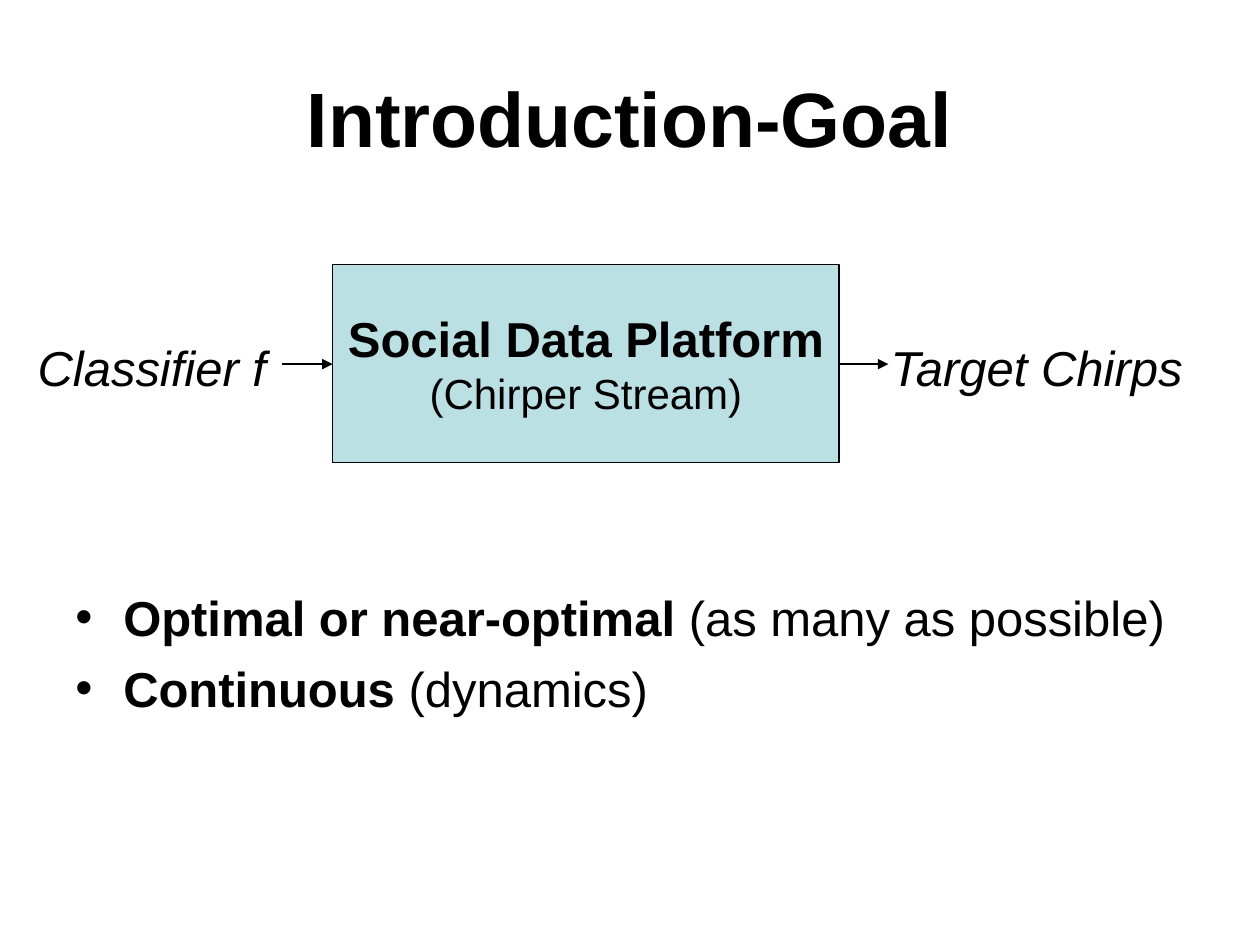
from lxml import etree
from pptx import Presentation
from pptx.dml.color import RGBColor
from pptx.enum.shapes import MSO_CONNECTOR, MSO_SHAPE
from pptx.enum.text import MSO_ANCHOR, PP_ALIGN
from pptx.oxml.ns import qn
from pptx.util import Inches, Pt

BLACK = RGBColor(0x00, 0x00, 0x00)
PALE_TEAL = RGBColor(0xBB, 0xE0, 0xE3)
CENTER = PP_ALIGN.CENTER
LEFT = PP_ALIGN.LEFT
TOP = MSO_ANCHOR.TOP
MIDDLE = MSO_ANCHOR.MIDDLE
RECTANGLE = MSO_SHAPE.RECTANGLE
STRAIGHT = MSO_CONNECTOR.STRAIGHT
FONT = "Arial"
LINE_WIDTH = Pt(0.75)
ARROW_Y = 2.89
ARROW_LENGTH = 0.4
BULLET_INDENT = 0.38


def add_run(para, text, size, bold=False, italic=False):
    span = para.add_run()
    span.text = text
    span.font.name = FONT
    span.font.size = Pt(size)
    span.font.bold = bold
    span.font.italic = italic
    span.font.color.rgb = BLACK


def add_paragraph(frame, index, align=LEFT, space_before=0):
    para = frame.add_paragraph() if index else frame.paragraphs[0]
    para.alignment = align
    para.space_before = Pt(space_before)
    return para


def add_text_box(page, left, top, width, height, anchor=TOP):
    box = page.shapes.add_textbox(
        Inches(left), Inches(top), Inches(width), Inches(height)
    )
    box.text_frame.word_wrap = True
    box.text_frame.vertical_anchor = anchor
    return box.text_frame


def add_title(page, text):
    frame = add_text_box(page, 0.5, 0.3, 9, 1.25, MIDDLE)
    add_run(add_paragraph(frame, 0, CENTER), text, 44, bold=True)


def add_flow_label(page, left, width, text):
    frame = add_text_box(page, left, 2.63, width, 0.57)
    para = add_paragraph(frame, 0, space_before=17.5)
    add_run(para, text, 28, italic=True)


def add_platform(page, name, detail):
    box = page.shapes.add_shape(
        RECTANGLE, Inches(2.64), Inches(2.1), Inches(4.02), Inches(1.57)
    )
    box.shadow.inherit = False
    box.fill.solid()
    box.fill.fore_color.rgb = PALE_TEAL
    box.line.color.rgb = BLACK
    box.line.width = LINE_WIDTH
    frame = box.text_frame
    frame.word_wrap = False
    frame.vertical_anchor = MIDDLE
    add_run(add_paragraph(frame, 0, CENTER), name, 28, bold=True)
    add_run(add_paragraph(frame, 1, CENTER), detail, 24)


def add_arrow(page, start):
    arrow = page.shapes.add_connector(
        STRAIGHT,
        Inches(start),
        Inches(ARROW_Y),
        Inches(start + ARROW_LENGTH),
        Inches(ARROW_Y),
    )
    arrow.line.color.rgb = BLACK
    arrow.line.width = LINE_WIDTH
    etree.SubElement(arrow.line._get_or_add_ln(), qn("a:tailEnd"), type="triangle")
    etree.SubElement(arrow._element.spPr, qn("a:effectLst"))


def set_bullet(para):
    indent = Inches(BULLET_INDENT)
    properties = para._p.get_or_add_pPr()
    properties.set("marL", str(indent))
    properties.set("indent", str(-indent))
    color = etree.SubElement(properties, qn("a:buClr"))
    etree.SubElement(color, qn("a:srgbClr"), val=str(BLACK))
    etree.SubElement(properties, qn("a:buFont"), typeface=FONT)
    etree.SubElement(properties, qn("a:buChar"), char="•")


def add_bullets(page, items):
    frame = add_text_box(page, 0.5, 4.61, 9.15, 1.5)
    for index, (term, remark) in enumerate(items):
        para = add_paragraph(frame, index, space_before=7)
        set_bullet(para)
        add_run(para, term, 28, bold=True)
        add_run(para, remark, 28)


def main():
    deck = Presentation()
    deck.slide_width = Inches(10)
    deck.slide_height = Inches(7.5)
    page = deck.slides.add_slide(deck.slide_layouts[6])
    add_title(page, "Introduction-Goal")
    add_flow_label(page, 0.2, 2.28, "Classifier f")
    add_platform(page, "Social Data Platform", "(Chirper Stream)")
    add_flow_label(page, 6.97, 2.8, "Target Chirps")
    for start in (2.24, 6.65):
        add_arrow(page, start)
    add_bullets(
        page,
        [
            ("Optimal or near-optimal ", "(as many as possible)"),
            ("Continuous ", "(dynamics)"),
        ],
    )
    deck.save("out.pptx")


if __name__ == "__main__":
    main()
